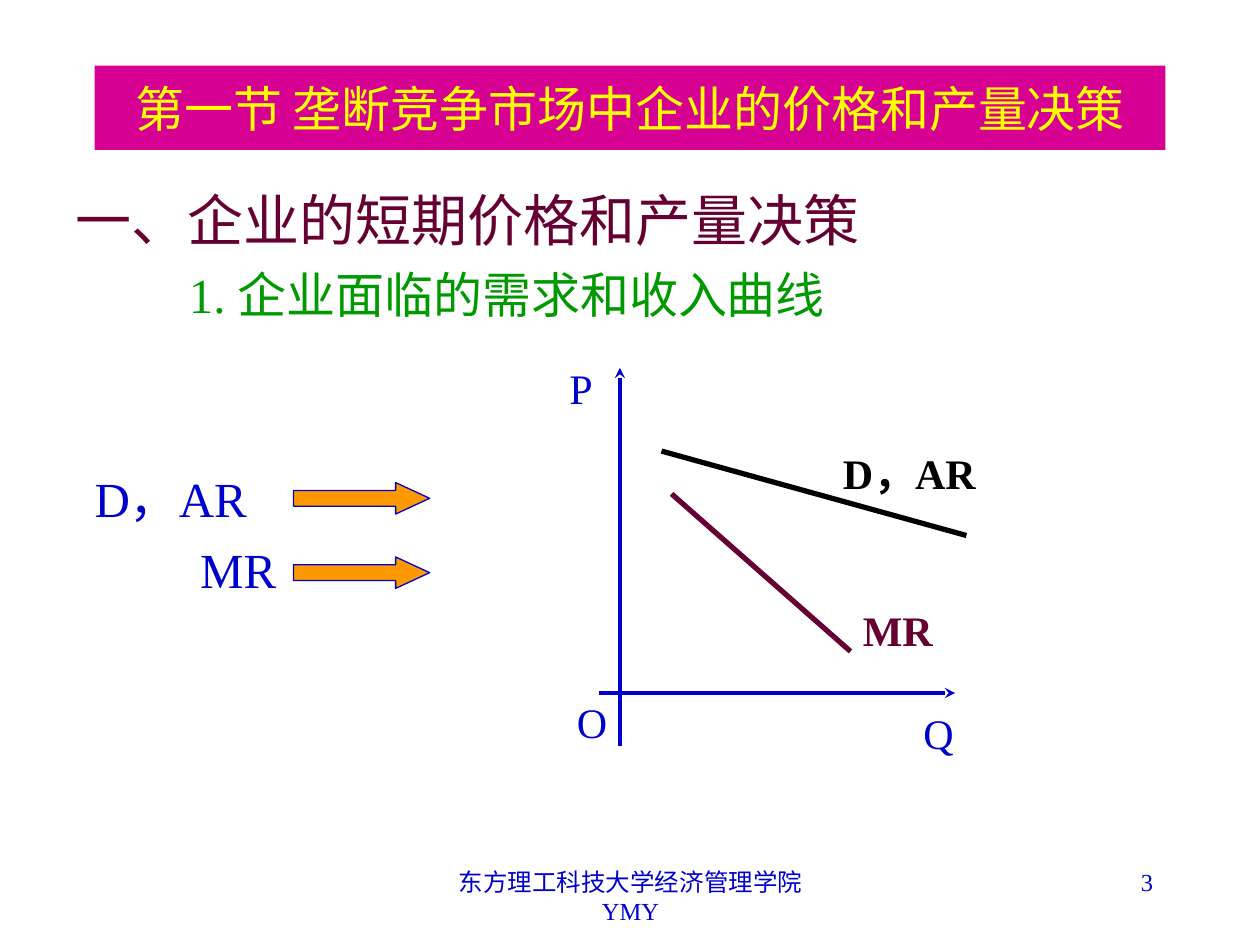
from lxml import etree
from pptx import Presentation
from pptx.dml.color import RGBColor
from pptx.enum.shapes import MSO_CONNECTOR, MSO_SHAPE
from pptx.enum.text import MSO_ANCHOR, MSO_AUTO_SIZE, PP_ALIGN
from pptx.oxml.ns import qn
from pptx.util import Inches, Pt

COLORS = {
    "blue": "0000CC",
    "plum": "660033",
    "green": "009900",
    "magenta": "D60093",
    "yellow": "FFFF00",
    "orange": "FF9900",
    "black": "000000",
}


def color(name):
    return RGBColor.from_string(COLORS[name])


class LessonSlide:
    font = "Times New Roman"

    def __init__(self, prs):
        self.slide = prs.slides.add_slide(prs.slide_layouts[5])
        self.shapes = self.slide.shapes

    def add_run(self, paragraph, text, size, ink, bold=False):
        run = paragraph.add_run()
        run.text = text
        run.font.name = self.font
        run.font.size = Pt(size)
        run.font.bold = bold
        run.font.color.rgb = color(ink)

    def title(self, text, box):
        banner = self.shapes.title
        banner.left, banner.top, banner.width, banner.height = map(Inches, box)
        banner.fill.solid()
        banner.fill.fore_color.rgb = color("magenta")
        frame = banner.text_frame
        frame.auto_size = MSO_AUTO_SIZE.NONE
        frame.vertical_anchor = MSO_ANCHOR.MIDDLE
        frame.paragraphs[0].alignment = PP_ALIGN.CENTER
        self.add_run(frame.paragraphs[0], text, 28, "yellow")

    def text(self, box, lines, wrap=True):
        """Each line is (text, size, ink, alignment, space before, left indent)."""
        frame = self.shapes.add_textbox(*map(Inches, box)).text_frame
        frame.word_wrap = wrap
        frame.auto_size = MSO_AUTO_SIZE.NONE if wrap else MSO_AUTO_SIZE.SHAPE_TO_FIT_TEXT
        for i, (text, size, ink, align, before, indent) in enumerate(lines):
            paragraph = frame.add_paragraph() if i else frame.paragraphs[0]
            paragraph.alignment = align
            paragraph.space_before = Pt(before)
            if indent:
                paragraph._p.get_or_add_pPr().set("marL", str(Inches(indent)))
            self.add_run(paragraph, text, size, ink)

    def label(self, text, box, ink="blue", bold=False):
        """Names an axis or a curve."""
        frame = self.shapes.add_textbox(*map(Inches, box)).text_frame
        frame.word_wrap = False
        frame.auto_size = MSO_AUTO_SIZE.SHAPE_TO_FIT_TEXT
        self.add_run(frame.paragraphs[0], text, 24, ink, bold)

    def line(self, start, end, ink, width, arrow=False):
        connector = self.shapes.add_connector(
            MSO_CONNECTOR.STRAIGHT, *map(Inches, (*start, *end)))
        connector.line.color.rgb = color(ink)
        connector.line.width = Pt(width)
        if arrow:
            tail = etree.SubElement(connector.line._get_or_add_ln(), qn("a:tailEnd"))
            tail.set("type", "stealth")
        etree.SubElement(connector._element.spPr, qn("a:effectLst"))

    def block_arrow(self, box):
        arrow = self.shapes.add_shape(MSO_SHAPE.RIGHT_ARROW, *map(Inches, box))
        arrow.adjustments[0] = 0.5
        arrow.adjustments[1] = 1.08
        arrow.shadow.inherit = False
        arrow.fill.solid()
        arrow.fill.fore_color.rgb = color("orange")
        arrow.line.color.rgb = color("blue")
        arrow.line.width = Pt(0.75)


def main():
    prs = Presentation()
    prs.slide_width, prs.slide_height = Inches(10), Inches(7.5)
    lesson = LessonSlide(prs)
    left, center, right = PP_ALIGN.LEFT, PP_ALIGN.CENTER, PP_ALIGN.RIGHT

    lesson.title("第一节 垄断竞争市场中企业的价格和产量决策", (0.75, 0.52, 8.5, 0.67))
    lesson.text((3.42, 6.83, 3.17, 0.5),
                [("东方理工科技大学经济管理学院 YMY", 14, "blue", center, 0, 0)])
    lesson.text((7.17, 6.83, 2.08, 0.5), [("3", 14, "blue", right, 0, 0)])
    lesson.text((0.5, 1.42, 8.92, 5.33), [
        ("一、企业的短期价格和产量决策", 32, "plum", left, 8, 0),
        ("1. 企业面临的需求和收入曲线", 28, "green", left, 7, 0.9),
    ])

    # Axes and curves
    lesson.line((4.92, 5.92), (4.92, 2.92), "blue", 2, arrow=True)
    lesson.line((4.75, 5.5), (7.58, 5.5), "blue", 2, arrow=True)
    lesson.line((5.25, 3.58), (7.67, 4.25), "black", 3)
    lesson.line((5.33, 3.92), (6.75, 5.17), "plum", 3)
    lesson.label("P", (4.42, 2.83, 0.39, 0.5))
    lesson.label("O", (4.48, 5.48, 0.44, 0.5))
    lesson.label("Q", (7.23, 5.57, 0.44, 0.5))
    lesson.label("D，AR", (6.59, 3.5, 1.42, 0.5), "black", bold=True)
    lesson.label("MR", (6.75, 4.75, 0.76, 0.5), "plum", bold=True)

    # Pointers from the curve names to the graph
    for top in (3.83, 4.42):
        lesson.block_arrow((2.33, top, 1.08, 0.25))
    lesson.text((0.42, 3.67, 1.87, 1.13), [
        ("D，AR", 28, "blue", center, 7, 0),
        ("MR", 28, "blue", right, 7, 0),
    ], wrap=True)

    prs.save("out.pptx")


if __name__ == "__main__":
    main()
